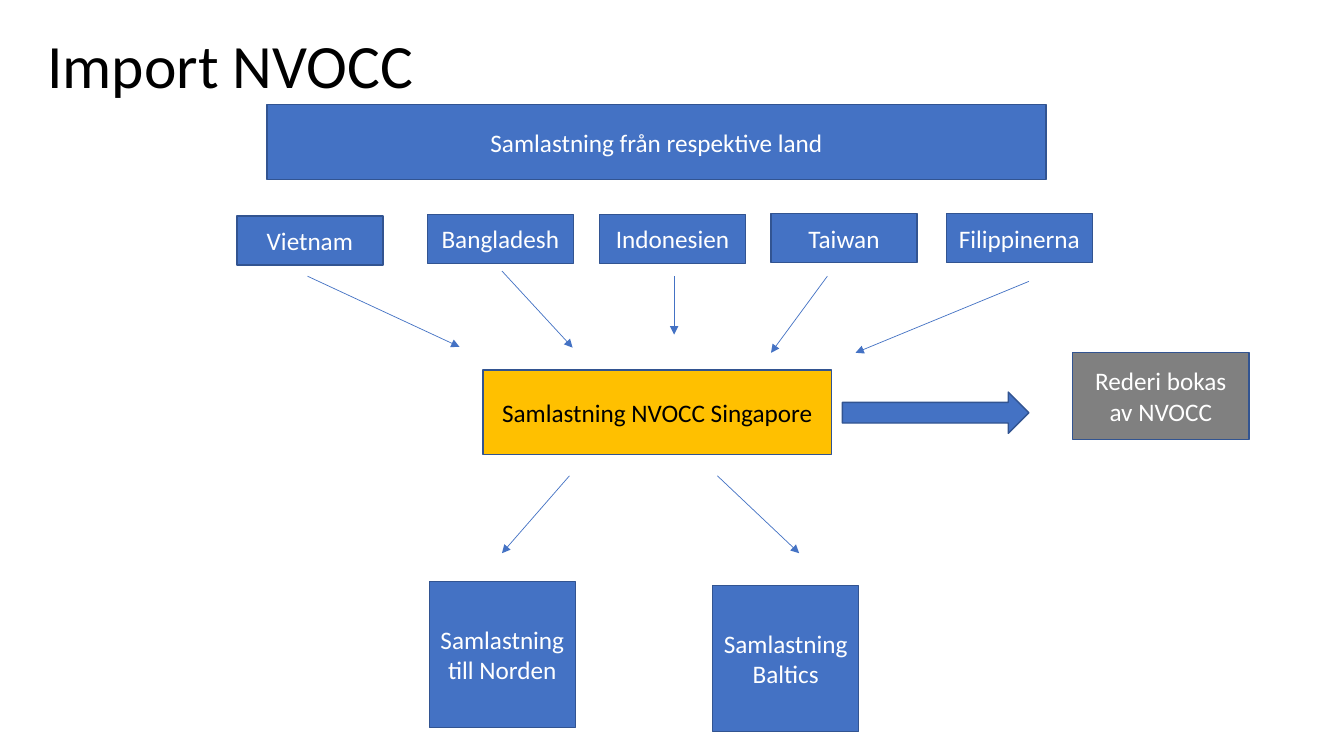
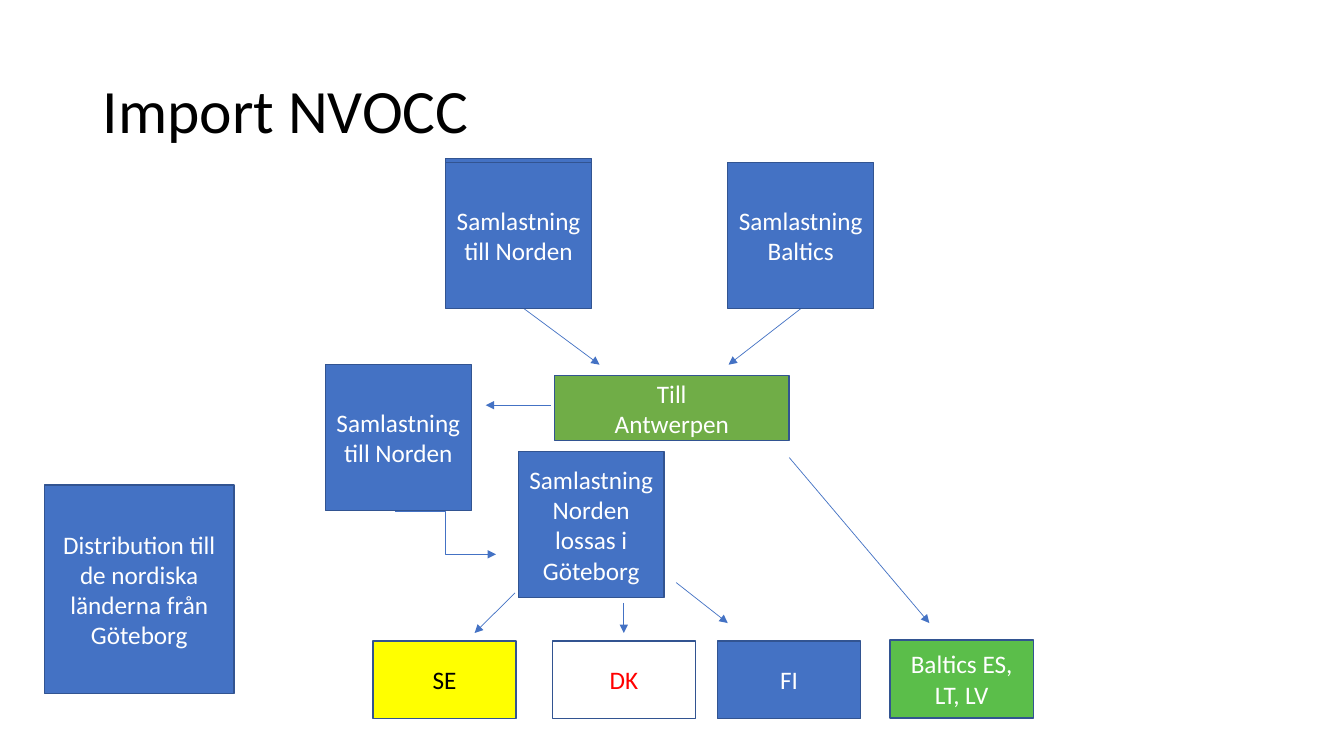
"""Builds two slides that chart the consolidated import flow of an NVOCC."""
from dataclasses import dataclass

from lxml.etree import SubElement
from pptx import Presentation
from pptx.dml.color import RGBColor
from pptx.enum.shapes import MSO_CONNECTOR as Link, MSO_SHAPE as Preset
from pptx.enum.text import MSO_ANCHOR as Anchor, PP_ALIGN as Align
from pptx.oxml.ns import qn
from pptx.util import Cm, Pt


@dataclass(frozen=True)
class Theme:
    """Colours, type sizes and line widths of the deck."""
    font: str = "Calibri"
    title_size: float = 44
    label_size: float = 18
    border_width: float = 1
    arrow_width: float = 0.5
    black: str = "000000"
    white: str = "FFFFFF"
    blue: str = "4472C4"
    border: str = "325491"
    amber: str = "FFC000"
    grey: str = "808080"
    yellow: str = "FFFF00"
    red: str = "FF0000"
    green: str = "70AD47"
    bright_green: str = "5BBE4A"


class FlowDeck:
    """Draws titles, boxes and arrows on the current slide; lengths in cm."""

    def __init__(self, theme):
        self.theme = theme
        self.deck = Presentation()
        self.deck.slide_width, self.deck.slide_height = Cm(33.87), Cm(19.05)
        self.slide = None

    def new_slide(self, title, left, top):
        self.slide = self.deck.slides.add_slide(self.deck.slide_layouts[6])
        heading = self.slide.shapes.add_textbox(Cm(left), Cm(top), Cm(29.21), Cm(3.68))
        self.set_text(heading, title, self.theme.title_size, self.theme.black, Align.LEFT)
        heading.text_frame.paragraphs[0].line_spacing = 0.9

    def set_text(self, holder, text, size, color, align):
        frame = holder.text_frame
        frame.word_wrap = True
        frame.vertical_anchor = Anchor.MIDDLE
        for index, wording in enumerate(text.split("\n")):
            paragraph = frame.add_paragraph() if index else frame.paragraphs[0]
            paragraph.alignment = align
            run = paragraph.add_run()
            run.text = wording
            run.font.name = self.theme.font
            run.font.size = Pt(size)
            run.font.color.rgb = RGBColor.from_string(color)

    def shape(self, left, top, width, height, fill=None, preset=Preset.RECTANGLE):
        figure = self.slide.shapes.add_shape(
            preset, Cm(left), Cm(top), Cm(width), Cm(height))
        figure.shadow.inherit = False
        figure.fill.solid()
        figure.fill.fore_color.rgb = RGBColor.from_string(fill or self.theme.blue)
        figure.line.color.rgb = RGBColor.from_string(self.theme.border)
        figure.line.width = Pt(self.theme.border_width)
        return figure

    def box(self, text, left, top, width, height, fill=None, color=None):
        self.set_text(self.shape(left, top, width, height, fill), text,
                      self.theme.label_size, color or self.theme.white, Align.CENTER)

    def square(self, text, left, top):
        self.box(text, left, top, 3.68, 3.68)

    def arrow(self, x1, y1, x2, y2, link=Link.STRAIGHT):
        connector = self.slide.shapes.add_connector(link, Cm(x1), Cm(y1), Cm(x2), Cm(y2))
        connector.line.color.rgb = RGBColor.from_string(self.theme.blue)
        connector.line.width = Pt(self.theme.arrow_width)
        properties = connector._element.spPr
        SubElement(properties.find(qn("a:ln")), qn("a:tailEnd"), type="triangle")
        SubElement(properties, qn("a:effectLst"))

    def arrows(self, *routes):
        for route in routes:
            self.arrow(*route)


TITLE = "Import NVOCC"
TO_NORDICS = "Samlastning till Norden"
TO_BALTICS = "Samlastning Baltics"


def origin_slide(flow):
    """Shows cargo from each country gathered in Singapore."""
    theme = flow.theme
    flow.new_slide(TITLE, 0.94, -0.1)
    flow.box("Samlastning från respektive land", 6.73, 2.64, 19.63, 1.88)
    countries = (("Vietnam", 5.97, 5.44), ("Bangladesh", 10.77, 5.4),
                 ("Indonesien", 15.11, 5.4), ("Taiwan", 19.43, 5.38),
                 ("Filippinerna", 23.85, 5.38))
    for country, left, top in countries:
        flow.box(country, left, top, 3.68, 1.24)
    flow.arrows((7.75, 6.96, 11.58, 8.74), (12.65, 6.83, 14.43, 8.76),
                (16.99, 6.96, 16.99, 8.43), (20.85, 6.96, 19.43, 8.89),
                (25.93, 7.09, 21.56, 8.89))
    flow.box("Samlastning NVOCC Singapore", 12.17, 9.32, 8.79, 2.13,
             theme.amber, theme.black)
    flow.shape(21.23, 9.88, 4.7, 1.04, preset=Preset.RIGHT_ARROW)
    flow.box("Rederi bokas av NVOCC", 27.03, 8.89, 4.45, 2.18, theme.grey)
    flow.arrows((14.35, 11.99, 12.65, 13.94), (18.08, 11.99, 20.14, 13.94))
    flow.square(TO_NORDICS, 10.82, 14.66)
    flow.square(TO_BALTICS, 17.96, 14.76)


def distribution_slide(flow):
    """Shows cargo passing Antwerp on its way to the receiving countries."""
    theme = flow.theme
    flow.new_slide(TITLE, 2.34, 1.02)
    flow.shape(11.23, 3.99, 3.68, 3.68)
    flow.arrows((13.06, 7.67, 15.11, 9.19), (20.19, 7.77, 18.36, 9.19))
    flow.square(TO_NORDICS, 11.23, 4.09)
    flow.square(TO_BALTICS, 18.34, 4.09)
    flow.box("Till\nAntwerpen", 13.97, 9.47, 5.92, 1.63, theme.green)
    flow.square(TO_NORDICS, 8.2, 9.19)
    flow.square("Samlastning Norden lossas i Göteborg", 13.06, 11.38)
    flow.box("Distribution till de nordiska länderna från Göteborg",
             1.12, 12.22, 4.78, 5.26)
    flow.arrow(9.96, 12.88, 12.5, 13.97, Link.ELBOW)
    flow.arrows((13.89, 10.21, 12.24, 10.21), (12.98, 14.94, 11.96, 15.95),
                (15.72, 15.19, 15.72, 15.95), (17.04, 14.68, 18.34, 15.7),
                (19.89, 11.53, 23.42, 15.7))
    receivers = (("SE", 9.4, 16.15, theme.yellow, theme.black),
                 ("DK", 13.92, 16.15, theme.white, theme.red),
                 ("FI", 18.08, 16.15, theme.blue, theme.white),
                 ("Baltics ES, LT, LV", 22.43, 16.13, theme.bright_green, theme.white))
    for receiver, left, top, fill, color in receivers:
        flow.box(receiver, left, top, 3.61, 1.96, fill, color)


def main():
    """Builds both slides and saves the deck."""
    flow = FlowDeck(Theme())
    origin_slide(flow)
    distribution_slide(flow)
    flow.deck.save("out.pptx")


if __name__ == "__main__":
    main()
